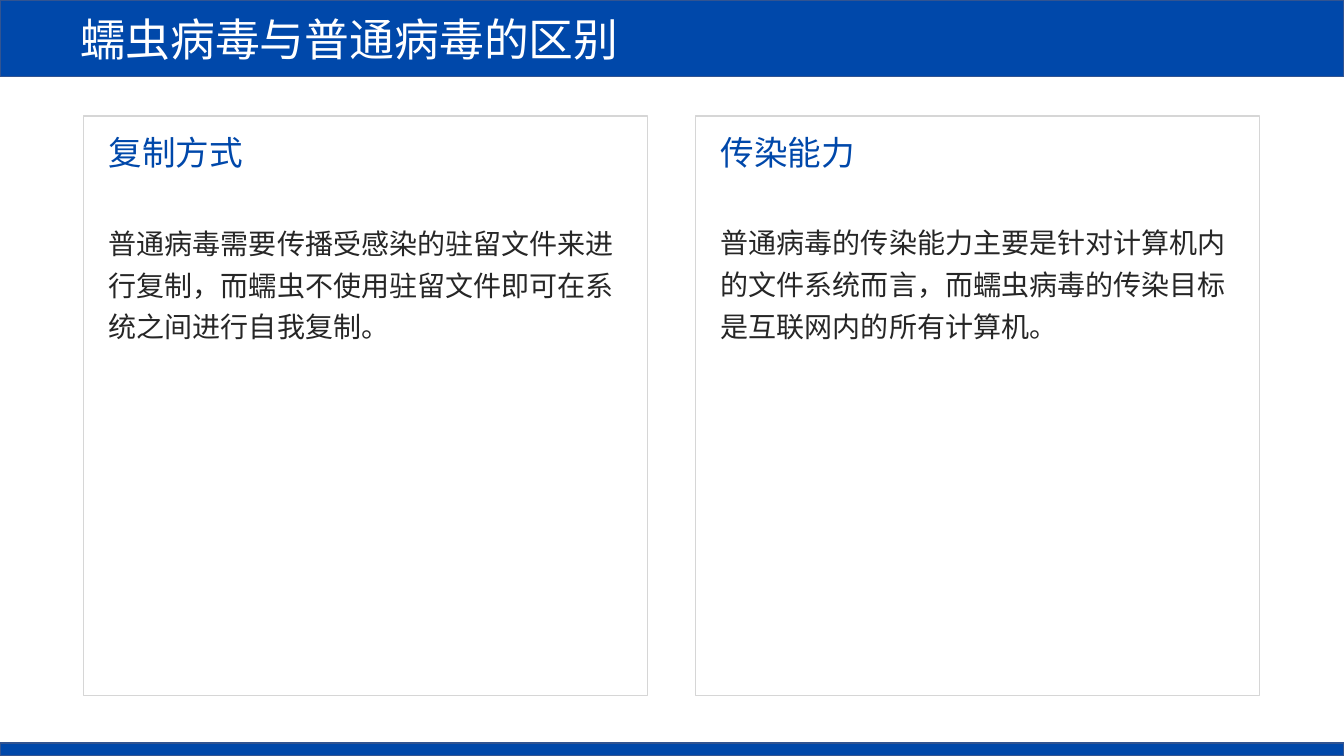
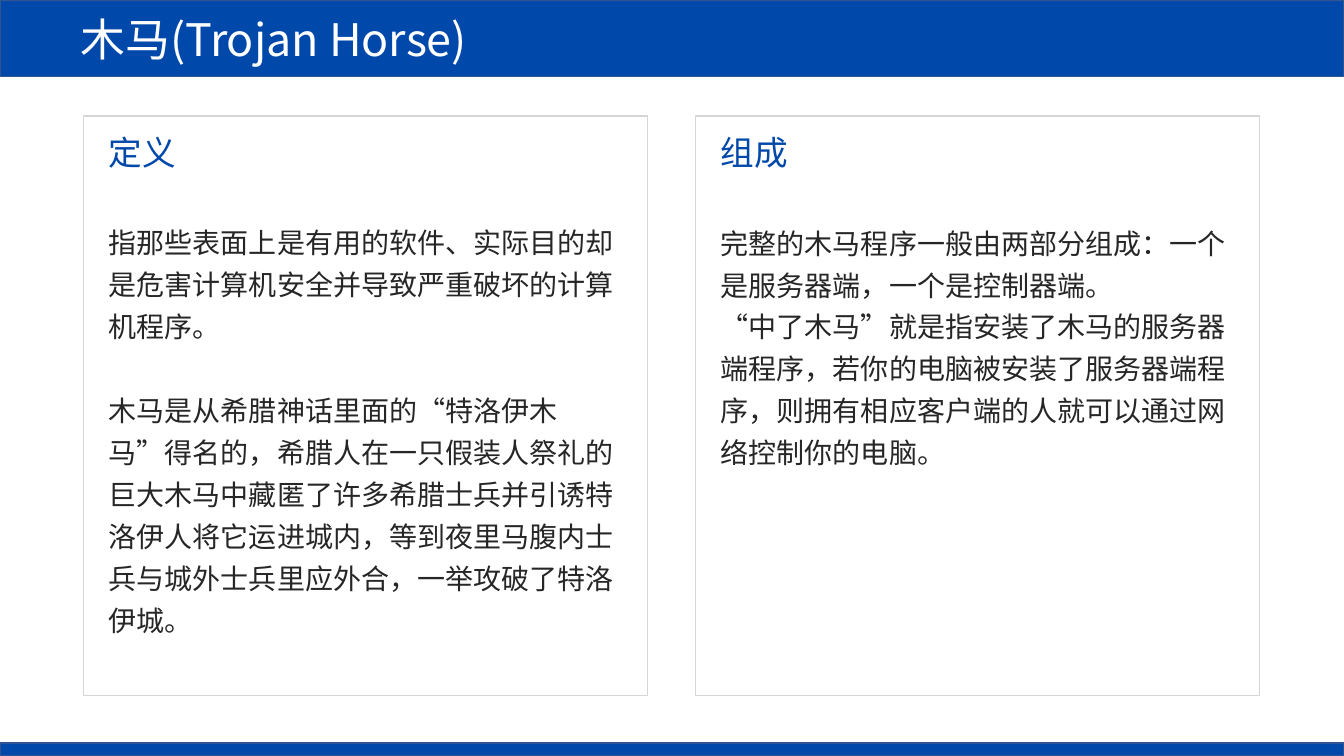
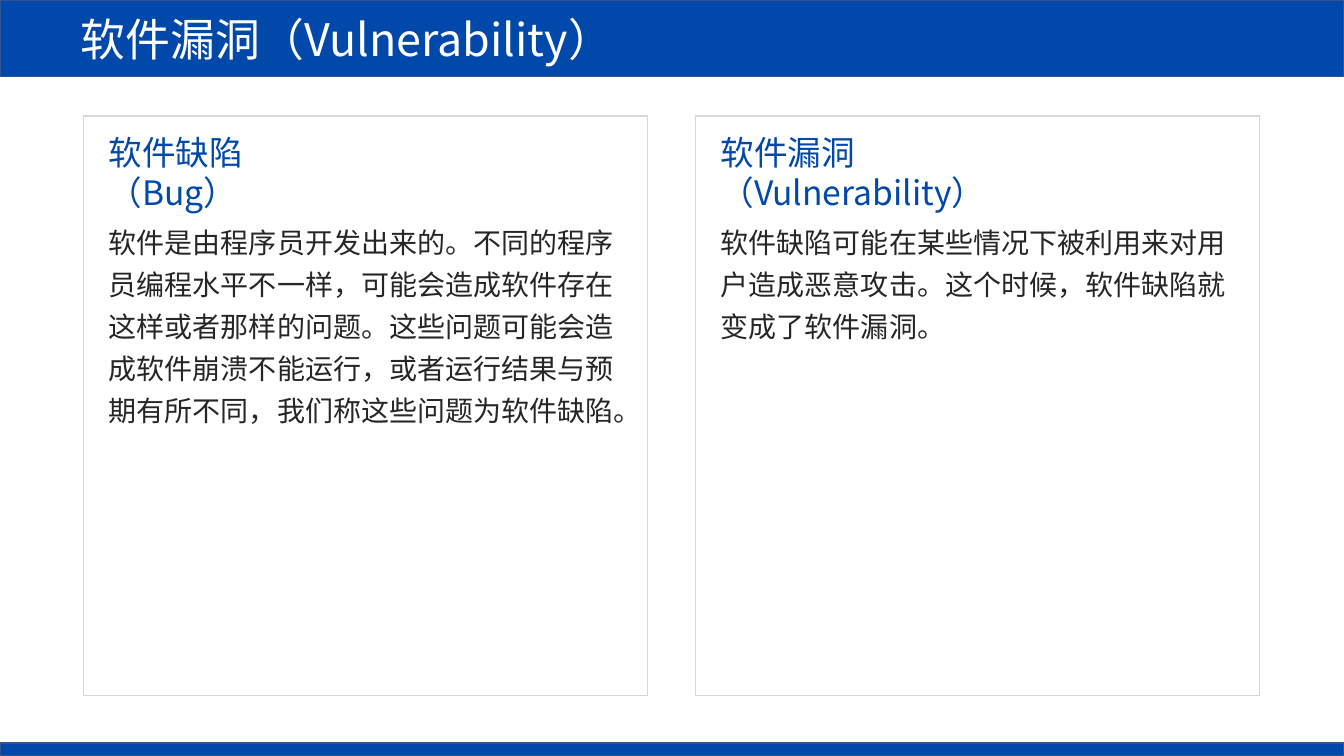
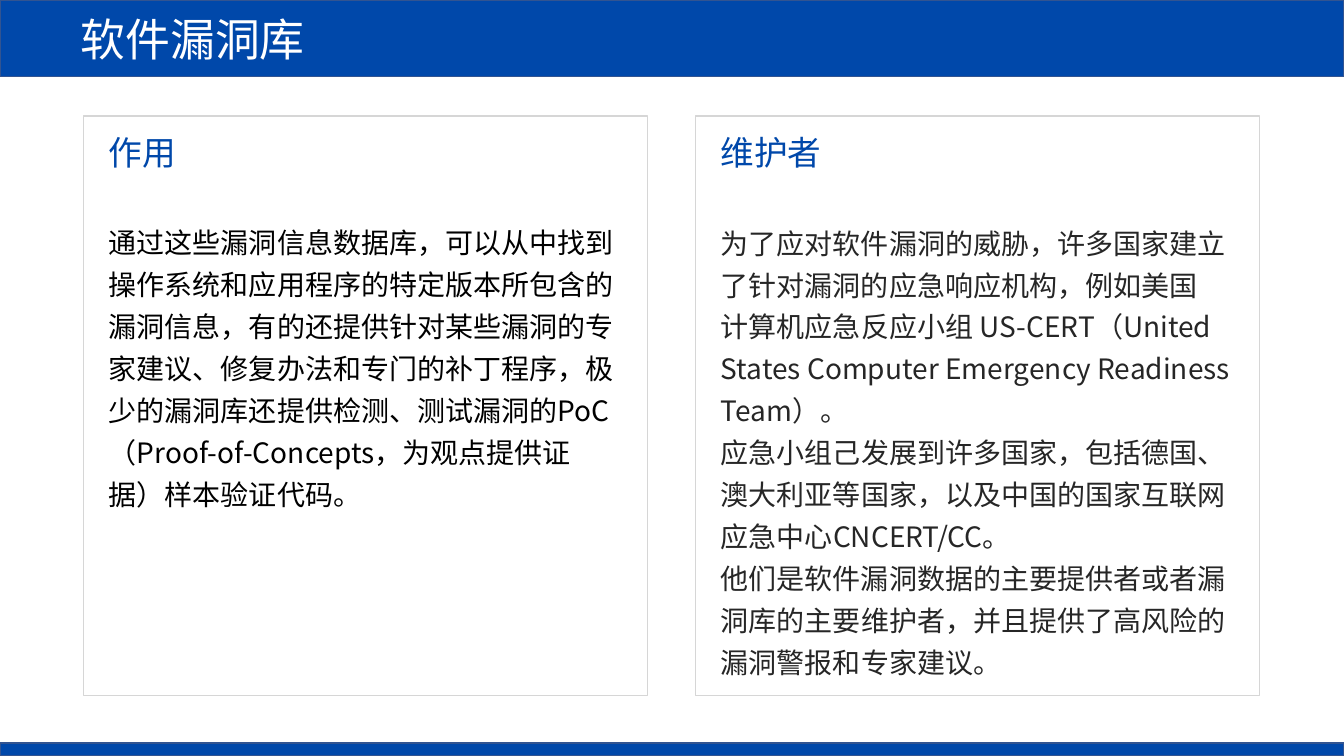
from dataclasses import dataclass
from lxml.etree import SubElement as Sub
from pptx import Presentation
from pptx.dml.color import RGBColor as Rgb
from pptx.enum.shapes import MSO_SHAPE as Geo
from pptx.enum.text import MSO_ANCHOR as Anchor, MSO_AUTO_SIZE as Fit, PP_ALIGN as Align
from pptx.oxml.ns import qn
from pptx.util import Inches, Pt


@dataclass(frozen=True)
class Theme:
    font: str = "Noto Sans CJK SC"
    blue: str = "0048AA"
    edge: str = "325491"
    rule: str = "D6D6D6"
    white: str = "FFFFFF"
    ink: str = "262626"
    black: str = "000000"
    title: int = 32
    head: int = 24
    body: int = 20
    lead: float = 1.25


T = Theme()
WIDE, HIGH = 13.33, 7.5
BAND, FOOT = 0.76, 0.13
LEFT, TOP, CARD, TALL, STEP = 0.83, 1.15, 5.59, 5.75, 6.07
PAD, ROW = 0.15, 0.42

DECK = [
    ("蠕虫病毒与普通病毒的区别", [
        dict(head="复制方式", span=1.55, rows=4, body=[
            "普通病毒需要传播受感染的驻留文件来进行复制，而蠕虫不使用驻留文件即可在系统之间进行自我复制。"]),
        dict(head="传染能力", span=1.55, rows=3, body=[
            "普通病毒的传染能力主要是针对计算机内的文件系统而言，而蠕虫病毒的传染目标是互联网内的所有计算机。"]),
    ]),
    ("木马(Trojan Horse)", [
        dict(head="定义", span=0.88, rows=10, gap=30, body=[
            "指那些表面上是有用的软件、实际目的却是危害计算机安全并导致严重破坏的计算机程序。",
            "木马是从希腊神话里面的“特洛伊木马”得名的，希腊人在一只假装人祭礼的巨大木马中藏匿了许多希腊士兵"
            "并引诱特洛伊人将它运进城内，等到夜里马腹内士兵与城外士兵里应外合，一举攻破了特洛伊城。"]),
        dict(head="组成", span=0.88, rows=6, body=[
            "完整的木马程序一般由两部分组成：一个是服务器端，一个是控制器端。",
            "“中了木马”就是指安装了木马的服务器端程序，若你的电脑被安装了服务器端程序，"
            "则拥有相应客户端的人就可以通过网络控制你的电脑。"]),
    ]),
    ("软件漏洞（Vulnerability）", [
        dict(head="软件缺陷（Bug）", span=2.6, rows=5, body=[
            "软件是由程序员开发出来的。不同的程序员编程水平不一样，可能会造成软件存在这样或者那样的问题。"
            "这些问题可能会造成软件崩溃不能运行，或者运行结果与预期有所不同，我们称这些问题为软件缺陷。"]),
        dict(head="软件漏洞（Vulnerability）", span=3.9, rows=3, body=[
            "软件缺陷可能在某些情况下被利用来对用户造成恶意攻击。这个时候，软件缺陷就变成了软件漏洞。"]),
    ]),
    ("软件漏洞库", [
        dict(head="作用", span=0.88, rows=8, color=T.black, body=[
            "通过这些漏洞信息数据库，可以从中找到操作系统和应用程序的特定版本所包含的漏洞信息，"
            "有的还提供针对某些漏洞的专家建议、修复办法和专门的补丁程序，极少的漏洞库还提供检测、"
            "测试漏洞的PoC（Proof-of-Concepts，为观点提供证据）样本验证代码。"]),
        dict(head="维护者", span=1.21, rows=11, body=[
            "为了应对软件漏洞的威胁，许多国家建立了针对漏洞的应急响应机构，例如美国",
            "计算机应急反应小组 US-CERT（United States Computer Emergency Readiness Team）。",
            "应急小组己发展到许多国家，包括德国、澳大利亚等国家，以及中国的国家互联网应急中心CNCERT/CC。",
            "他们是软件漏洞数据的主要提供者或者漏洞库的主要维护者，并且提供了高风险的漏洞警报和专家建议。"]),
    ]),
]


def write(frame, lines, size, color, lead=None, gap=0):
    frame.word_wrap = True
    for i, line in enumerate(lines):
        par = frame.add_paragraph() if i else frame.paragraphs[0]
        par.alignment = Align.LEFT
        if lead:
            par.line_spacing = lead
        if i and gap:
            par.space_before = Pt(gap)
        run = par.add_run()
        run.text = line
        font = run.font
        font.size, font.name = Pt(size), T.font
        font.color.rgb = Rgb.from_string(color)
        Sub(run._r.get_or_add_rPr(), qn("a:ea")).set("typeface", T.font)


def rect(slide, box, line, fill=None):
    shape = slide.shapes.add_shape(Geo.RECTANGLE, *map(Inches, box))
    shape.shadow.inherit = False
    if fill:
        shape.fill.solid()
        shape.fill.fore_color.rgb = Rgb.from_string(fill)
    else:
        shape.fill.background()
    shape.line.color.rgb = Rgb.from_string(line)
    shape.line.width = Pt(1)
    return shape


def label(slide, box, lines, **form):
    frame = slide.shapes.add_textbox(*map(Inches, box)).text_frame
    write(frame, lines, **form)
    frame.auto_size = Fit.SHAPE_TO_FIT_TEXT


def base(slide, title):
    frame = rect(slide, (0, 0, WIDE, BAND), T.edge, T.blue).text_frame
    frame.margin_left = Inches(0.8)
    frame.vertical_anchor = Anchor.MIDDLE
    write(frame, [title], size=T.title, color=T.white)
    rect(slide, (0, HIGH - FOOT, WIDE, FOOT), T.edge, T.blue)


def card(slide, col, item):
    x = LEFT + col * STEP
    rect(slide, (x, TOP, CARD, TALL), T.rule)
    label(slide, (x + PAD, TOP + 0.11, item["span"], 0.5), [item["head"]],
          size=T.head, color=T.blue)
    label(slide, (x + PAD, TOP + 0.96, CARD - 2 * PAD, 0.07 + ROW * item["rows"]), item["body"],
          size=T.body, color=item.get("color", T.ink), lead=T.lead, gap=item.get("gap", 0))


def main():
    deck = Presentation()
    deck.slide_width, deck.slide_height = Inches(WIDE), Inches(HIGH)
    for title, cards in DECK:
        slide = deck.slides.add_slide(deck.slide_layouts[6])
        base(slide, title)
        for col, item in enumerate(cards):
            card(slide, col, item)
    deck.save("out.pptx")


if __name__ == "__main__":
    main()
